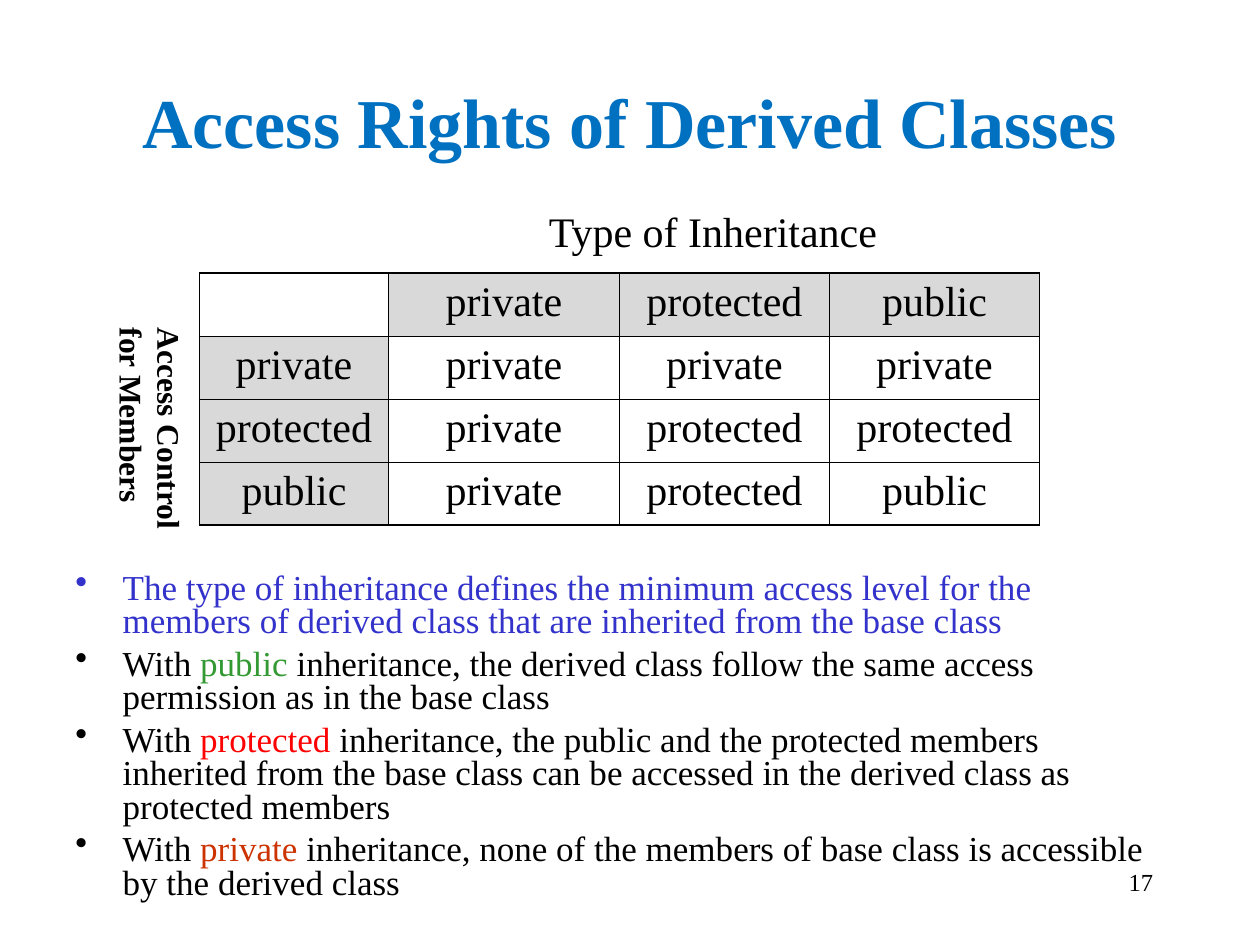
from lxml import etree
from pptx import Presentation
from pptx import util as u
from pptx.dml.color import RGBColor
from pptx.enum import text
from pptx.oxml.ns import qn

PX = 7620  # EMU per px: 120 px to the inch
FONT = "Times New Roman"
COLORS = {
    "black": "000000", "title": "0070C0", "header": "D9D9D9", "blue": "3333CC",
    "green": "339933", "red": "FF0000", "rust": "CC3300",
}


def px(*lengths):
    return [u.Emu(length * PX) for length in lengths]


def rgb(name):
    return RGBColor.from_string(COLORS[name])


def add_bullet(paragraph, color, indent):
    properties = paragraph._p.get_or_add_pPr()
    properties.set("marL", str(indent * PX))
    properties.set("indent", str(-indent * PX))
    bullet_color = etree.SubElement(properties, qn("a:buClr"))
    etree.SubElement(bullet_color, qn("a:srgbClr"), val=COLORS[color])
    etree.SubElement(properties, qn("a:buChar"), char="•")


def write_text(frame, paragraphs, size=24, color="black", bold=False, align="LEFT",
               bullet_indent=0, line_spacing=None, gap=0):
    """Fill a frame; each paragraph is a string or a list of (text, color) runs."""
    for index, runs in enumerate(paragraphs):
        paragraph = frame.paragraphs[0] if index == 0 else frame.add_paragraph()
        if isinstance(runs, str):
            runs = [(runs, color)]
        if bullet_indent:
            add_bullet(paragraph, runs[0][1], bullet_indent)
        paragraph.alignment = getattr(text.PP_ALIGN, align)
        paragraph.line_spacing = line_spacing
        if index and gap:
            paragraph.space_before = u.Pt(gap)
        for words, run_color in runs:
            run = paragraph.add_run()
            run.text = words
            run.font.name = FONT
            run.font.size = u.Pt(size)
            run.font.bold = bold
            run.font.color.rgb = rgb(run_color)


def add_text_box(slide, box, paragraphs, wrap=True, **formatting):
    frame = slide.shapes.add_textbox(*px(*box)).text_frame
    frame.word_wrap = wrap
    write_text(frame, paragraphs, **formatting)
    return frame


def add_title(slide, box, title):
    shape = slide.shapes.title
    shape.left, shape.top, shape.width, shape.height = px(*box)
    frame = shape.text_frame
    frame.auto_size = text.MSO_AUTO_SIZE.NONE
    frame.vertical_anchor = text.MSO_ANCHOR.MIDDLE
    write_text(frame, [title], size=40, color="title", bold=True, align="CENTER")


def set_borders(cell, outer_sides):
    properties = cell._tc.get_or_add_tcPr()
    for side in "LRTB":
        width = u.Pt(1.08 if side in outer_sides else 0.45)
        line = etree.SubElement(properties, qn(f"a:ln{side}"), w=str(width))
        fill = etree.SubElement(line, qn("a:solidFill"))
        etree.SubElement(fill, qn("a:srgbClr"), val=COLORS["black"])


def add_access_table(slide, box, rows, column_widths):
    left, top, width, height = box
    # Caption centred over the inheritance columns, labels left of the member rows
    caption_left = left + column_widths[0]
    add_text_box(slide, (caption_left, top - 70, width - column_widths[0] - 2, 60),
                 ["Type of Inheritance"], align="CENTER")
    side = add_text_box(slide, (left - 100, top + 40, 96, 205),
                        ["Access Control", "for Members"], wrap=False, size=18, bold=True)
    side._txBody.bodyPr.set("vert", "eaVert")
    side.margin_left = side.margin_right = u.Inches(0.05)
    side.margin_top = side.margin_bottom = u.Inches(0.1)

    table = slide.shapes.add_table(len(rows), len(column_widths), *px(*box)).table
    table.first_row = table.horz_banding = False
    for column, column_width in zip(table.columns, column_widths):
        column.width = u.Emu(column_width * PX)
    last_row, last_column = len(rows) - 1, len(column_widths) - 1
    for r, row in enumerate(rows):
        for c, label in enumerate(row):
            cell = table.cell(r, c)
            edges = {"T": r == 0, "B": r == last_row, "L": c == 0, "R": c == last_column}
            set_borders(cell, [edge for edge, outer in edges.items() if outer])
            if label and (r == 0 or c == 0):
                cell.fill.solid()
                cell.fill.fore_color.rgb = rgb("header")
            else:
                cell.fill.background()
            if label:
                write_text(cell.text_frame, [label], align="CENTER")


def add_rules(slide, box):
    def rule(keyword, color, rest):
        return [("With ", "black"), (keyword, color), (f" inheritance, {rest}", "black")]

    add_text_box(slide, box, [
        [("The type of inheritance defines the minimum access level for the members of "
          "derived class that are inherited from the base class", "blue")],
        rule("public", "green",
             "the derived class follow the same access permission as in the base class"),
        rule("protected", "red",
             "the public and the protected members inherited from the base class can be "
             "accessed in the derived class as protected members"),
        rule("private", "rust",
             "none of the members of base class is accessible by the derived class"),
    ], size=20, bullet_indent=45, line_spacing=0.8, gap=5)


def main():
    presentation = Presentation()
    presentation.slide_width, presentation.slide_height = px(1200, 900)
    slide = presentation.slides.add_slide(presentation.slide_layouts[5])

    add_title(slide, (90, 50, 1020, 130), "Access Rights of Derived Classes")
    add_access_table(slide, (190, 260, 800, 240), [
        ["", "private", "protected", "public"],
        ["private", "private", "private", "private"],
        ["protected", "private", "protected", "protected"],
        ["public", "private", "protected", "public"],
    ], [180, 220, 200, 200])
    add_rules(slide, (60, 540, 1050, 330))
    # Slide number
    add_text_box(slide, (860, 820, 250, 60), ["17"], size=14, align="RIGHT")

    presentation.save("out.pptx")


if __name__ == "__main__":
    main()
